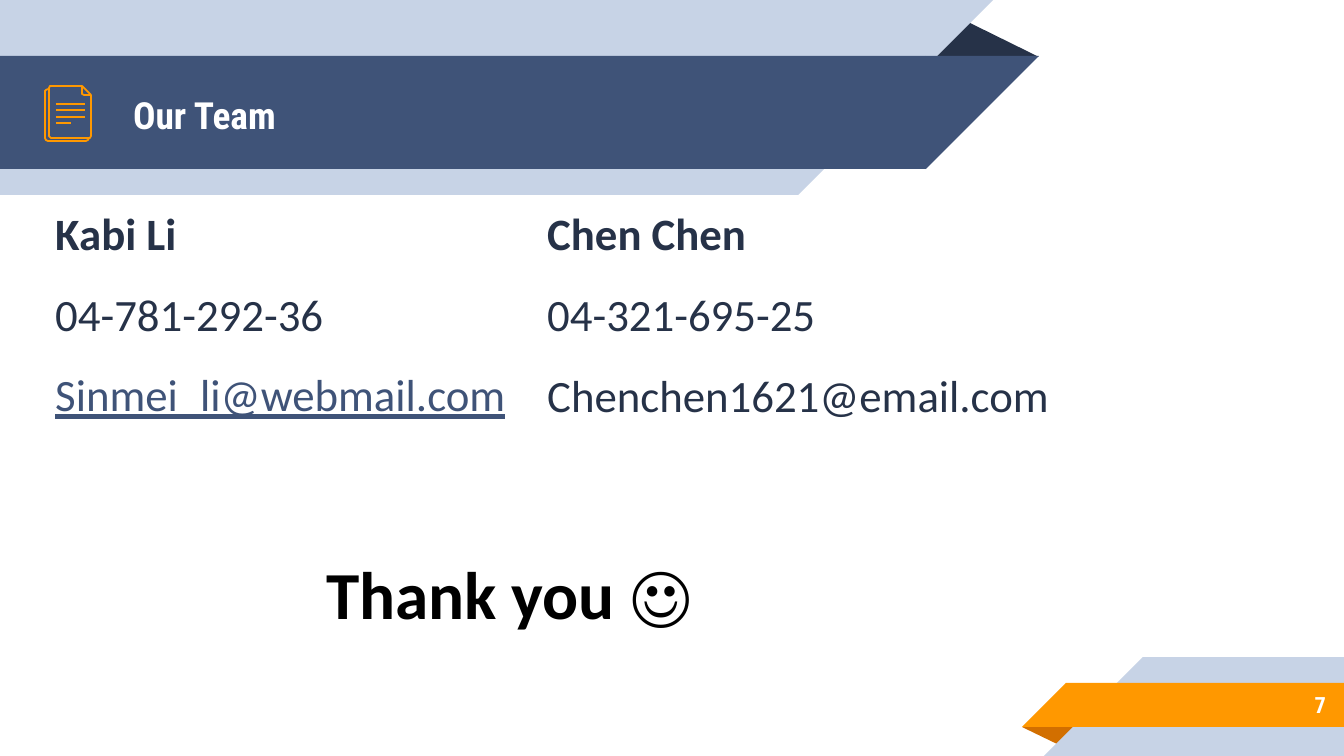
from dataclasses import dataclass

from lxml import etree
from pptx import Presentation
from pptx.dml.color import RGBColor
from pptx.enum.shapes import MSO_CONNECTOR, MSO_SHAPE
from pptx.enum.text import MSO_ANCHOR, MSO_AUTO_SIZE, PP_ALIGN
from pptx.oxml.ns import qn
from pptx.util import Pt

PX = 9144000 / 1344
SLIDE_W, SLIDE_H = 1344, 756
RECT, CORNER, FOLD = MSO_SHAPE.RECTANGLE, MSO_SHAPE.RIGHT_TRIANGLE, MSO_SHAPE.ISOSCELES_TRIANGLE
STRAIGHT = MSO_CONNECTOR.STRAIGHT
LEFT, RIGHT = PP_ALIGN.LEFT, PP_ALIGN.RIGHT
MIDDLE, TOP = MSO_ANCHOR.MIDDLE, MSO_ANCHOR.TOP
NO_AUTOFIT = MSO_AUTO_SIZE.NONE


@dataclass(frozen=True)
class Theme:
    pale: str = "C7D3E6"
    navy: str = "3F5378"
    ink: str = "263248"
    orange: str = "FF9800"
    rust: str = "D26F00"
    white: str = "FFFFFF"
    black: str = "000000"
    heading_font: str = "Roboto Condensed"
    body_font: str = "Calibri"
    title_size: int = 20
    body_size: int = 24
    number_size: int = 12
    closing_size: int = 36
    icon_line: float = 0.96


THEME = Theme()


def emu(*lengths):
    return [round(length * PX) for length in lengths]


def rgb(color):
    return RGBColor.from_string(color)


def add_solid(slide, kind, box, color, rotation=0, mirrored=False):
    solid = slide.shapes.add_shape(kind, *emu(*box))
    solid.shadow.inherit = False
    solid.fill.solid()
    solid.fill.fore_color.rgb = rgb(color)
    solid.line.fill.background()
    solid.rotation = rotation
    if mirrored:
        solid.element.spPr.find(qn("a:xfrm")).set("flipH", "1")
    return solid


def add_fold(slide, box, color, rotation=0):
    add_solid(slide, FOLD, box, color, rotation).adjustments[0] = 0.324


def add_ribbon(slide, box, color, points_right):
    """A band whose slanted end is a right triangle as wide as the band is high."""
    left, top, width, height = box
    band_left = left if points_right else left + height
    tip_left = left + width - height if points_right else left
    rotation = 180 if points_right else 0
    add_solid(slide, RECT, (band_left, top, width - height, height), color)
    add_solid(slide, CORNER, (tip_left, top, height, height), color, rotation, mirrored=True)


def add_header(slide, box):
    left, top, width, height = box
    add_fold(slide, (left + width - 114, top + 19, 114, 38), THEME.ink)
    add_ribbon(slide, (left, top, width - 46, height), THEME.pale, points_right=True)
    add_ribbon(slide, (left, top + 56, width, 113), THEME.navy, points_right=True)


def add_footer(slide, box, number):
    left, top, width, height = box
    add_fold(slide, (left, top + 70, 58, 19), THEME.rust, rotation=180)
    add_ribbon(slide, (left + 22, top, width - 22, height), THEME.pale, points_right=False)
    add_ribbon(slide, (left, top + 26, width, 44), THEME.orange, points_right=False)
    page = add_text_box(slide, (left + 98, top + 24, 219, 47), number, MIDDLE, 13)
    page.text_frame.paragraphs[0].alignment = RIGHT
    style_runs(page, THEME.heading_font, THEME.number_size, THEME.white)


def style_icon_line(stroke):
    stroke.line.color.rgb = rgb(THEME.orange)
    stroke.line.width = Pt(THEME.icon_line)


def add_page_icon(slide, box):
    left, top, width, height = box
    right, bottom, fold = width, height - 3, 9
    back_page = [(right - 2, bottom), (right - 3, height - 1), (right - 5, height),
                 (3, height), (1, height - 1), (0, height - 3), (0, 5), (1, 4), (3, 3)]
    front_page = [(right, fold), (right, bottom - 2), (right - 1, bottom), (right - 3, bottom),
                  (6, bottom), (5, bottom - 1), (4, bottom - 2), (4, 2), (5, 0), (6, 0),
                  (right - fold, 0)]
    dog_ear = [(right - fold, 0), (right, fold), (right - 7, fold), (right - fold, fold - 1)]
    for outline, closed in ((back_page, False), (front_page, False), (dog_ear, True)):
        start, *rest = [(left + x, top + y) for x, y in outline]
        builder = slide.shapes.build_freeform(*start, scale=PX)
        builder.add_line_segments(rest, close=closed)
        page = builder.convert_to_shape()
        page.shadow.inherit = False
        page.fill.background()
        style_icon_line(page)
    for y, length in ((18, 29), (24, 29), (31, 29), (37, 15)):
        writing = slide.shapes.add_connector(
            STRAIGHT, *emu(left + 11, top + y, left + 11 + length, top + y))
        etree.SubElement(writing.element.spPr, qn("a:effectLst"))
        style_icon_line(writing)


def fit_text(holder, box, text, anchor, inset):
    holder.left, holder.top, holder.width, holder.height = emu(*box)
    frame = holder.text_frame
    frame.text = text
    frame.word_wrap = True
    frame.auto_size = NO_AUTOFIT
    frame.vertical_anchor = anchor
    frame.margin_left, frame.margin_right = emu(inset, inset)
    if anchor == MIDDLE:
        frame.margin_top, frame.margin_bottom = emu(inset, inset)
    return holder


def add_text_box(slide, box, text, anchor, inset):
    return fit_text(slide.shapes.add_textbox(*emu(*box)), box, text, anchor, inset)


def style_runs(holder, font, size, color):
    runs = holder.text_frame.paragraphs[0].runs
    for run in runs:
        run.font.name = font
        run.font.size = Pt(size)
        run.font.bold = True
        run.font.color.rgb = rgb(color)
    return runs


def bring_to_front(holder):
    holder.element.getparent().append(holder.element)


def fill_title(slide, box, text):
    title = fit_text(slide.shapes.title, box, text, MIDDLE, 13)
    title.text_frame.paragraphs[0].alignment = LEFT
    style_runs(title, THEME.heading_font, THEME.title_size, THEME.white)
    bring_to_front(title)


def fill_contact(holder, box, lines):
    """Set name, phone and mail as one unbulleted paragraph; return the mail run."""
    fit_text(holder, box, "\v".join(lines), MIDDLE, 13)
    contact = holder.text_frame.paragraphs[0]
    contact.line_spacing = 1.5
    contact.space_before = Pt(10)
    properties = contact._p.get_or_add_pPr()
    properties.set("marL", "76200")
    properties.set("indent", "0")
    etree.SubElement(properties, qn("a:buNone"))
    name, phone, mail = style_runs(holder, THEME.body_font, THEME.body_size, THEME.ink)
    phone.font.bold = mail.font.bold = False
    bring_to_front(holder)
    return mail


def add_team(slide, box):
    left, top, width, height = box
    first_width = 493
    linked_mail = fill_contact(slide.placeholders[1], (left, top, first_width, height),
                               ["Kabi Li", "04-781-292-36", "Sinmei_li@webmail.com"])
    linked_mail.font.underline = True
    linked_mail.font.color.rgb = rgb(THEME.navy)
    second_box = (left + first_width - 1, top, width - first_width + 1, height)
    second = slide.shapes.add_textbox(*emu(*second_box))
    fill_contact(second, second_box,
                 ["Chen Chen", "04-321-695-25", "Chenchen1621@email.com"])


def add_closing(slide, box):
    closing = add_text_box(slide, box, "Thank you ☺", TOP, 13)
    style_runs(closing, THEME.body_font, THEME.closing_size, THEME.black)


def main():
    deck = Presentation()
    deck.slide_width, deck.slide_height = emu(SLIDE_W, SLIDE_H)
    slide = deck.slides.add_slide(deck.slide_layouts[1])
    add_header(slide, (0, 0, 1039, 195))
    fill_title(slide, (120, 58, 808, 113), "Our Team")
    add_page_icon(slide, (45, 86, 46, 55))
    add_team(slide, (31, 95, 1089, 410))
    add_footer(slide, (1022, 657, 322, 99), "7")
    add_closing(slide, (313, 546, 680, 95))
    deck.save("out.pptx")


if __name__ == "__main__":
    main()
